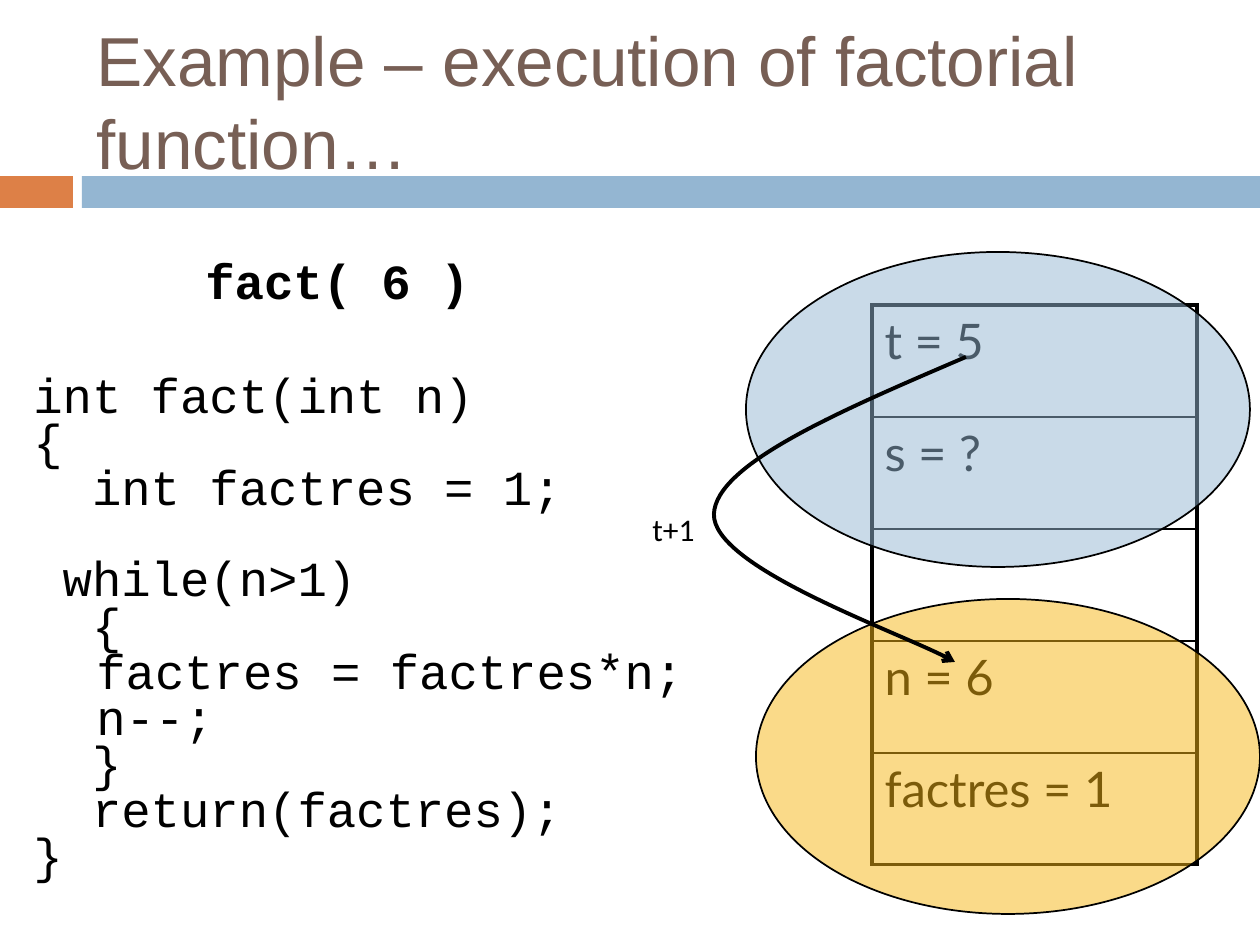
from typing import NamedTuple

from lxml import etree
from pptx import Presentation
from pptx.dml.color import RGBColor
from pptx.enum.shapes import MSO_SHAPE
from pptx.enum.text import MSO_ANCHOR
from pptx.oxml.ns import qn
from pptx.util import Emu, Pt

RECTANGLE, ELLIPSE = MSO_SHAPE.RECTANGLE, MSO_SHAPE.OVAL
TOP, MIDDLE = MSO_ANCHOR.TOP, MSO_ANCHOR.MIDDLE
EMU_PER_PX = 914400 / 126
BLACK, BLUE, ORANGE, YELLOW, BROWN = "000000", "94B6D2", "DD8047", "F7B615", "775F55"
THIN, THICK = 1, 2.25
CODE_FONT, CODE_SIZE = "Courier New", 28
CODE_GAP, CODE_BLANK_LINE = 14.6, 25.7


class Box(NamedTuple):
    left: int
    top: int
    width: int
    height: int


class Region(NamedTuple):
    """A filled shape; outline is a line width in points, 0 for none."""
    kind: MSO_SHAPE
    box: Box
    colour: str
    opacity: int = 100
    outline: float = 0


class CodeLine(NamedTuple):
    text: str
    gap: float = CODE_GAP


BARS = [
    Region(RECTANGLE, Box(0, 176, 73, 32), ORANGE),
    Region(RECTANGLE, Box(82, 176, 1178, 32), BLUE),
]
FRAMES = [
    Region(ELLIPSE, Box(746, 252, 504, 315), BLUE, 50, THIN),
    Region(ELLIPSE, Box(756, 599, 504, 315), YELLOW, 50, THIN),
]
CODE = [
    CodeLine("int fact(int n)", 0),
    CodeLine("{"),
    CodeLine("  int factres = 1;"),
    CodeLine(" while(n>1)", CODE_GAP + CODE_BLANK_LINE),
    CodeLine("  {"),
    CodeLine("\tfactres = factres*n;"),
    CodeLine("\tn--;"),
    CodeLine("  }"),
    CodeLine("  return(factres);"),
    CodeLine("}"),
]
STACK = ["t = 5", "s = ?", "", "n = 6", "factres = 1"]
# Start point, then two cubic segments of three points each
POINTER = [(966, 357), (840, 411), (716, 464), (714, 514),
           (712, 566), (915, 638), (955, 662)]


def px(length: int) -> Emu:
    return Emu(round(length * EMU_PER_PX))


def rgb(colour: str) -> RGBColor:
    return RGBColor.from_string(colour)


def write(paragraph, text: str, *, font: str, size: float, colour: str = BLACK,
          bold: bool = False, gap: float = 0, spacing: float = 1.0) -> None:
    paragraph.space_before = Pt(gap)
    paragraph.line_spacing = spacing
    run = paragraph.add_run()
    run.text = text
    run.font.name = font
    run.font.size = Pt(size)
    run.font.bold = bold
    run.font.color.rgb = rgb(colour)


def add_frame(slide, box: Box, anchor: MSO_ANCHOR = TOP):
    frame = slide.shapes.add_textbox(*map(px, box)).text_frame
    frame.word_wrap = True
    frame.vertical_anchor = anchor
    return frame


def add_label(slide, box: Box, text: str, anchor: MSO_ANCHOR = TOP, **style) -> None:
    write(add_frame(slide, box, anchor).paragraphs[0], text, **style)


def add_region(slide, region: Region) -> None:
    shape = slide.shapes.add_shape(region.kind, *map(px, region.box))
    shape.shadow.inherit = False
    shape.fill.solid()
    shape.fill.fore_color.rgb = rgb(region.colour)
    if region.opacity < 100:
        colour = shape.fill._xPr.find(".//" + qn("a:srgbClr"))
        etree.SubElement(colour, qn("a:alpha"), val=str(region.opacity * 1000))
    if region.outline:
        shape.line.color.rgb = rgb(BLACK)
        shape.line.width = Pt(region.outline)
    else:
        shape.line.fill.background()


def add_code(slide, box: Box, lines: list[CodeLine]) -> None:
    frame = add_frame(slide, box)
    for index, line in enumerate(lines):
        paragraph = frame.add_paragraph() if index else frame.paragraphs[0]
        write(paragraph, line.text, font=CODE_FONT, size=CODE_SIZE,
              gap=line.gap, spacing=0.35)


def set_border(cell, side: str, width: float) -> None:
    properties = cell._tc.get_or_add_tcPr()
    border = etree.SubElement(properties, qn(f"a:ln{side}"), w=str(Pt(width)))
    fill = etree.SubElement(border, qn("a:solidFill"))
    etree.SubElement(fill, qn("a:srgbClr"), val=BLACK)


def add_stack(slide, box: Box, values: list[str]) -> None:
    table = slide.shapes.add_table(len(values), 1, *map(px, box)).table
    table.first_row = table.horz_banding = False
    last = len(values) - 1
    for row, value in enumerate(values):
        cell = table.cell(row, 0)
        set_border(cell, "L", THICK)
        set_border(cell, "R", THICK)
        set_border(cell, "T", THICK if row == 0 else THIN)
        set_border(cell, "B", THICK if row == last else THIN)
        cell.fill.background()
        if value:
            write(cell.text_frame.paragraphs[0], value, font="Lato", size=28)


def add_curved_arrow(slide, points: list[tuple[int, int]]) -> None:
    builder = slide.shapes.build_freeform(*points[0], scale=EMU_PER_PX)
    builder.add_line_segments(points[1:], close=False)
    arrow = builder.convert_to_shape()
    arrow.shadow.inherit = False
    arrow.fill.background()
    arrow.line.color.rgb = rgb(BLACK)
    arrow.line.width = Pt(THICK)
    etree.SubElement(arrow.line._get_or_add_ln(), qn("a:tailEnd"), type="arrow")
    # Every three straight segments become one cubic curve
    outline = arrow._element.find(".//" + qn("a:path"))
    segments = outline.findall(qn("a:lnTo"))
    for first in range(0, len(segments), 3):
        curve = etree.SubElement(outline, qn("a:cubicBezTo"))
        for segment in segments[first:first + 3]:
            curve.append(segment[0])
            outline.remove(segment)


def main() -> None:
    deck = Presentation()
    deck.slide_width, deck.slide_height = px(1260), px(945)
    slide = deck.slides.add_slide(deck.slide_layouts[6])
    for bar in BARS:
        add_region(slide, bar)
    add_label(slide, Box(84, 32, 1124, 136), "Example – execution of factorial function…",
              MIDDLE, font="Arial", size=39.6, colour=BROWN)
    add_code(slide, Box(21, 391, 756, 501), CODE)
    add_stack(slide, Box(872, 305, 325, 560), STACK)
    for frame in FRAMES:
        add_region(slide, frame)
    add_curved_arrow(slide, POINTER)
    add_label(slide, Box(640, 504, 147, 50), "t+1", font="Calibri", size=18)
    add_label(slide, Box(193, 244, 378, 72), "fact( 6 )",
              font=CODE_FONT, size=CODE_SIZE, bold=True)
    deck.save("out.pptx")


if __name__ == "__main__":
    main()
